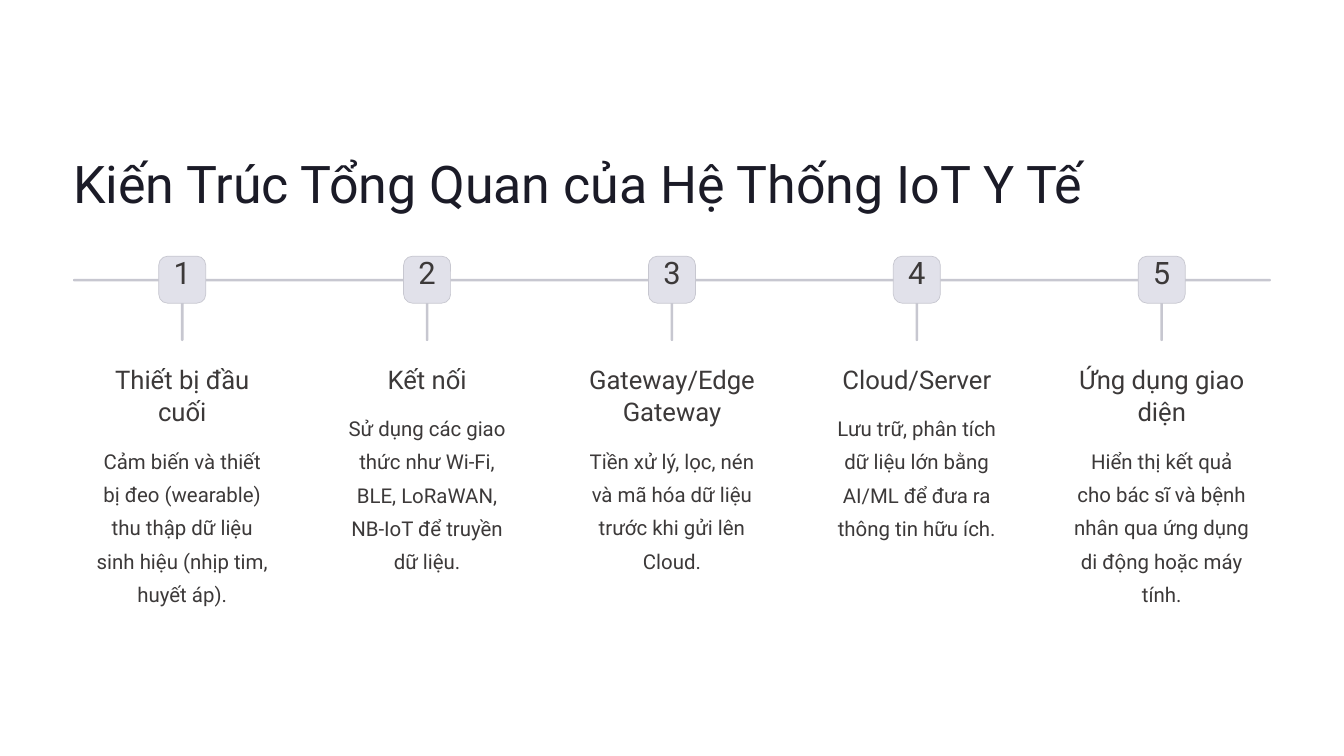
import pptx
import pptx.util
import pptx.dml.color
import pptx.enum.shapes
import pptx.enum.text

Inches = pptx.util.Inches
Pt = pptx.util.Pt
ALIGN = pptx.enum.text.PP_ALIGN


def add_rounded(left, top, width, height, corner, fill, outline=None):
    shape = slide.shapes.add_shape(
        pptx.enum.shapes.MSO_SHAPE.ROUNDED_RECTANGLE,
        Inches(left), Inches(top), Inches(width), Inches(height))
    shape.adjustments[0] = corner
    shape.shadow.inherit = False
    shape.fill.solid()
    shape.fill.fore_color.rgb = pptx.dml.color.RGBColor.from_string(fill)
    if outline:
        shape.line.color.rgb = pptx.dml.color.RGBColor.from_string(outline)
        shape.line.width = Pt(0.6)
    else:
        shape.line.fill.background()


def add_text(text, left, top, width, height, style):
    frame = slide.shapes.add_textbox(
        Inches(left), Inches(top), Inches(width), Inches(height)).text_frame
    frame_format = {"word_wrap": True, "margin_left": 0, "margin_right": 0,
                    "margin_top": 0, "margin_bottom": 0}
    for name, value in frame_format.items():
        setattr(frame, name, value)
    paragraph = frame.paragraphs[0]
    paragraph.text = text
    paragraph.alignment = style["align"]
    paragraph.line_spacing = Pt(style["spacing"])
    for name, value in {"name": "Roboto", "size": Pt(style["size"])}.items():
        setattr(paragraph.font, name, value)
    paragraph.font.color.rgb = pptx.dml.color.RGBColor.from_string(style["color"])


LINE_COLOR = "C7C7D0"
BADGE_COLOR = "E1E1EA"
TEXT_COLOR = "3C3939"
TITLE = {"size": 44.5, "spacing": 55.5, "color": "1B1B27", "align": ALIGN.LEFT}
NUMBER = {"size": 26.5, "spacing": 26.5, "color": TEXT_COLOR, "align": ALIGN.CENTER}
HEADING = {"size": 22, "spacing": 27.5, "color": TEXT_COLOR, "align": ALIGN.CENTER}
BODY = {"size": 17.5, "spacing": 28.5, "color": TEXT_COLOR, "align": ALIGN.CENTER}

# Heading, heading lines, description, description lines
layers = [
    ("Thiết bị đầu cuối", 2,
     "Cảm biến và thiết bị đeo (wearable) thu thập dữ liệu sinh hiệu "
     "(nhịp tim, huyết áp).", 5),
    ("Kết nối", 1,
     "Sử dụng các giao thức như Wi-Fi, BLE, LoRaWAN, NB-IoT để truyền dữ liệu.", 5),
    ("Gateway/Edge Gateway", 2,
     "Tiền xử lý, lọc, nén và mã hóa dữ liệu trước khi gửi lên Cloud.", 4),
    ("Cloud/Server", 1,
     "Lưu trữ, phân tích dữ liệu lớn bằng AI/ML để đưa ra thông tin hữu ích.", 4),
    ("Ứng dụng giao diện", 2,
     "Hiển thị kết quả cho bác sĩ và bệnh nhân qua ứng dụng di động "
     "hoặc máy tính.", 5),
]

presentation = pptx.Presentation()
presentation.slide_width = Inches(16)
presentation.slide_height = Inches(9)
slide = presentation.slides.add_slide(presentation.slide_layouts[6])

# Title and timeline
add_text("Kiến Trúc Tổng Quan của Hệ Thống IoT Y Tế", 0.87, 1.77, 12.52, 0.78, TITLE)
add_rounded(0.87, 3.32, 14.26, 0.03, 0.5, LINE_COLOR)

# One column per layer, evenly spaced around the middle of the slide
column_pitch = 2.915
line_height = 0.39
for index, (heading, heading_lines, body, body_lines) in enumerate(layers):
    center = 8 + (index - 2) * column_pitch
    add_rounded(center - 0.015, 3.32, 0.03, 0.74, 0.5, LINE_COLOR)
    add_rounded(center - 0.28, 3.05, 0.56, 0.56, 0.19, BADGE_COLOR, LINE_COLOR)
    add_text(str(index + 1), center - 0.185, 3.09, 0.37, 0.47, NUMBER)

    heading_height = heading_lines * line_height
    text_left = center - 1.055
    add_text(heading, text_left, 4.32, 2.11, heading_height, HEADING)
    add_text(body, text_left, 4.46 + heading_height, 2.11,
             body_lines * 0.4, BODY)

presentation.save("out.pptx")
